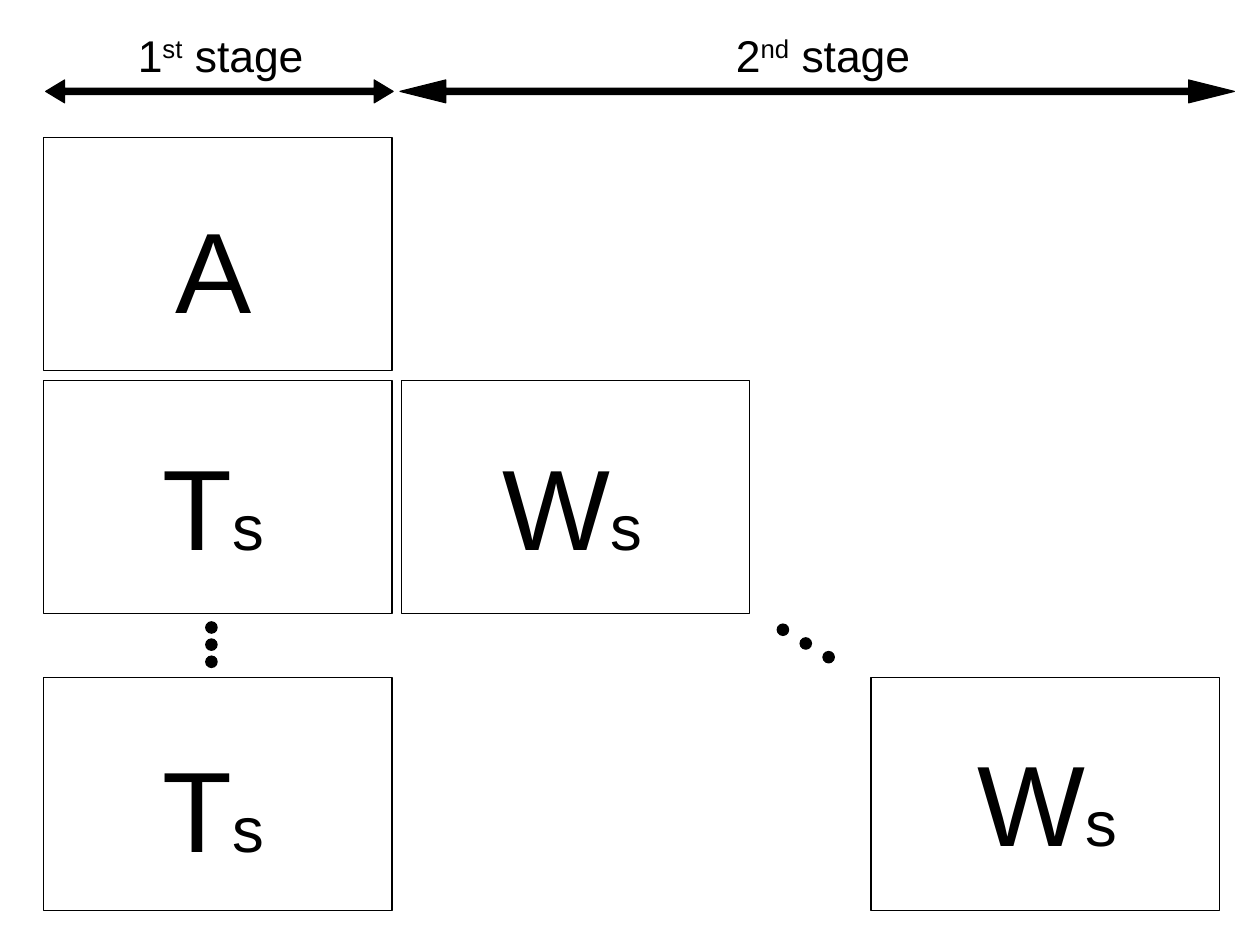
from dataclasses import dataclass

from pptx import Presentation
from pptx.dml.color import RGBColor
from pptx.enum.shapes import MSO_SHAPE
from pptx.enum.text import MSO_AUTO_SIZE, PP_ALIGN
from pptx.util import Inches, Pt

RECT = MSO_SHAPE.RECTANGLE
ARROW = MSO_SHAPE.LEFT_RIGHT_ARROW
OVAL = MSO_SHAPE.OVAL
CENTER = PP_ALIGN.CENTER
GROW = MSO_AUTO_SIZE.SHAPE_TO_FIT_TEXT

CM_PER_INCH = 2.54
SLIDE_W = 28 / CM_PER_INCH
SLIDE_H = 21 / CM_PER_INCH
BLACK = "000000"
FONT = "Arial"
BOX_W, BOX_H = 3.05, 2.04
SYMBOL_W, SYMBOL_H = 1.52, 1.24
DOT = 0.1


@dataclass
class Box:
    left: float
    top: float
    letter: str
    subscript: str
    symbol_left: float
    symbol_top: float


@dataclass
class Stage:
    left: float
    width: float
    head: float
    number: str
    suffix: str
    label_left: float


@dataclass
class Dots:
    left: float
    top: float
    dx: float
    dy: float


@dataclass
class Part:
    text: str
    size: float
    baseline: int = 0


BOXES = [
    Box(0.38, 1.2, "A", "", 1.11, 1.69),
    Box(0.38, 3.33, "T", "s", 1.11, 3.77),
    Box(3.51, 3.33, "W", "s", 4.25, 3.77),
    Box(0.38, 5.93, "T", "s", 1.11, 6.41),
    Box(7.62, 5.93, "W", "s", 8.4, 6.36),
]
STAGES = [
    Stage(0.4, 3.04, 0.83, "1", "st", 0.82),
    Stage(3.5, 7.3, 2, "2", "nd", 6.09),
]
DOT_ROWS = [Dots(1.8, 5.44, 0, 0.15), Dots(6.8, 5.46, 0.2, 0.12)]


def rgb(value: str) -> RGBColor:
    return RGBColor.from_string(value)


def add_outline(slide, kind, left: float, top: float, width: float,
                height: float, filled: bool = True):
    sp = slide.shapes.add_shape(
        kind, Inches(left), Inches(top), Inches(width), Inches(height))
    sp.shadow.inherit = False
    if filled:
        sp.fill.solid()
        sp.fill.fore_color.rgb = rgb(BLACK)
    else:
        sp.fill.background()
    sp.line.color.rgb = rgb(BLACK)
    sp.line.width = Pt(0)
    return sp


def add_text(slide, left: float, top: float, width: float, height: float,
             parts: list[Part]) -> None:
    tb = slide.shapes.add_textbox(
        Inches(left), Inches(top), Inches(width), Inches(height))
    tf = tb.text_frame
    tf.word_wrap = True
    tf.auto_size = GROW
    p = tf.paragraphs[0]
    p.alignment = CENTER
    for part in parts:
        r = p.add_run()
        r.text = part.text
        r.font.name = FONT
        r.font.size = Pt(part.size)
        r.font.color.rgb = rgb(BLACK)
        if part.baseline:
            r._r.get_or_add_rPr().set("baseline", str(part.baseline))


def add_box(slide, box: Box) -> None:
    add_outline(slide, RECT, box.left, box.top, BOX_W, BOX_H, filled=False)
    parts = [Part(box.letter, 72)]
    if box.subscript:
        parts.append(Part(box.subscript, 40))
    add_text(slide, box.symbol_left, box.symbol_top, SYMBOL_W, SYMBOL_H, parts)


def add_stage(slide, stage: Stage) -> None:
    sp = add_outline(slide, ARROW, stage.left, 0.7, stage.width, 0.2)
    sp.adjustments[0] = 0.28
    sp.adjustments[1] = stage.head
    add_text(slide, stage.label_left, 0.2, 2.22, 0.7, [
        Part(stage.number, 28),
        Part(stage.suffix, 28, 33000),
        Part(" stage", 28),
    ])


def add_dots(slide, dots: Dots) -> None:
    for i in range(3):
        add_outline(slide, OVAL, dots.left + i * dots.dx,
                    dots.top + i * dots.dy, DOT, DOT)


def main() -> None:
    prs = Presentation()
    prs.slide_width = Inches(SLIDE_W)
    prs.slide_height = Inches(SLIDE_H)
    slide = prs.slides.add_slide(prs.slide_layouts[6])
    for box in BOXES:
        add_box(slide, box)
    for stage in STAGES:
        add_stage(slide, stage)
    for dots in DOT_ROWS:
        add_dots(slide, dots)
    prs.save("out.pptx")


if __name__ == "__main__":
    main()
